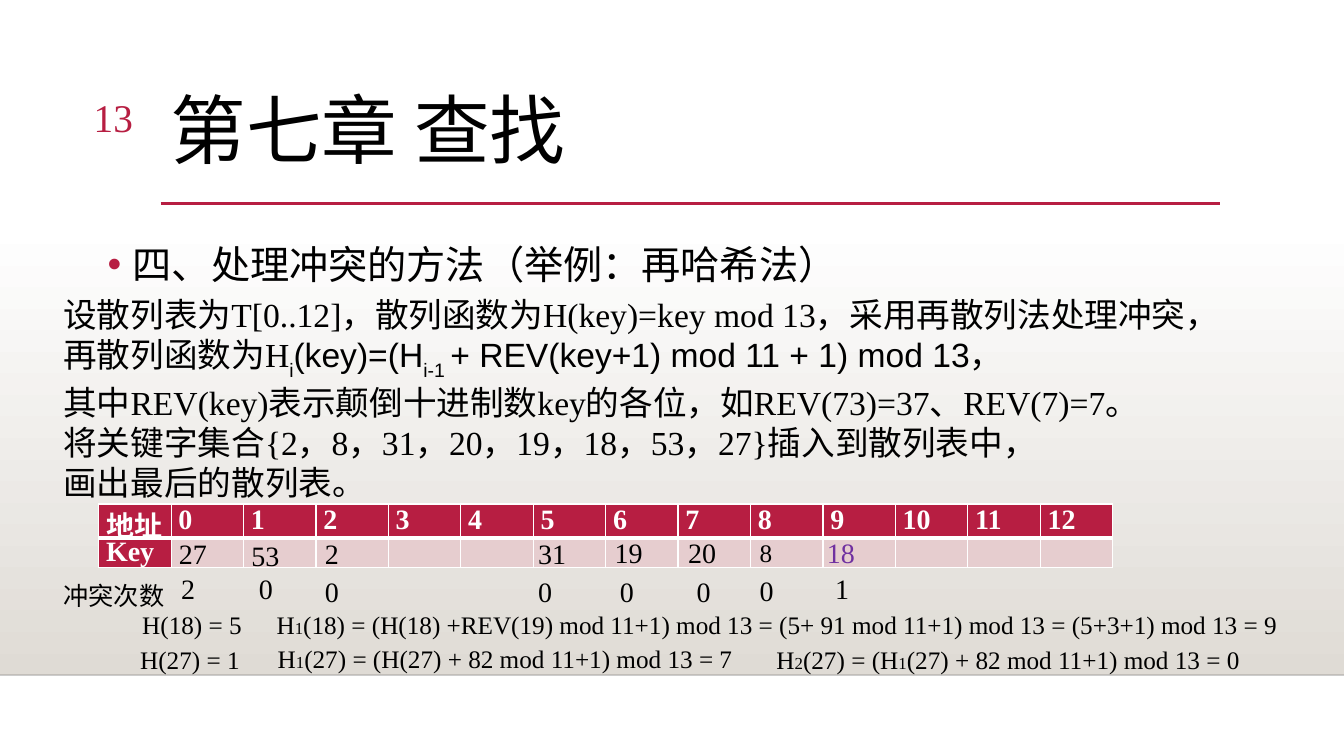
from dataclasses import dataclass
from itertools import groupby

from lxml.etree import SubElement
from pptx import Presentation
from pptx.dml.color import RGBColor
from pptx.enum.shapes import MSO_CONNECTOR, MSO_SHAPE
from pptx.enum.text import MSO_ANCHOR, MSO_AUTO_SIZE, PP_ALIGN
from pptx.oxml import parse_xml
from pptx.oxml.ns import nsdecls, qn
from pptx.util import Emu, Pt


@dataclass(frozen=True)
class Theme:
    white: str = "FFFFFF"
    ink: str = "000000"
    accent: str = "B71E42"
    pale: str = "E6CDCF"
    ground: str = "DFDBD5"
    purple: str = "7030A0"
    serif: str = "Times New Roman"
    sans: str = "Arial"
    chinese: str = "Noto Sans CJK SC"
    title: int = 54
    heading: int = 28
    body: int = 24
    cell: int = 20
    note: int = 18
    index: int = 12


THEME = Theme()


def px(length):
    return Emu(length * 9525)


def rgb(value):
    return RGBColor.from_string(value)


def add_span(para, text, size=THEME.note, font=THEME.serif, color=THEME.ink, bold=False, base=0):
    span = para.add_run()
    span.text = text
    span.font.size = Pt(size)
    span.font.bold = bold
    span.font.color.rgb = rgb(color)
    span.font.name = font
    properties = span.font._element
    SubElement(properties, qn("a:ea"), typeface=THEME.chinese)
    if base:
        properties.set("baseline", str(base * 1000))


def by_script(text):
    for chinese, letters in groupby(text, lambda letter: ord(letter) > 0x2E80):
        yield "".join(letters), {"font": THEME.chinese if chinese else THEME.serif}


class PageBuilder:
    def __init__(self, deck, theme):
        self.theme = theme
        self.page = deck.slides.add_slide(deck.slide_layouts[6])

    def gradient_band(self, left, top, width, height):
        band = self.page.shapes.add_shape(
            MSO_SHAPE.RECTANGLE, px(left), px(top), px(width), px(height))
        band.shadow.inherit = False
        band.line.fill.background()
        band.fill.gradient()
        band.fill.gradient_angle = 270
        for stop, color in zip(band.fill.gradient_stops, (self.theme.white, self.theme.ground)):
            stop.color.rgb = rgb(color)

    def rule(self, left, right, top, color, weight, opacity=100):
        line = self.page.shapes.add_connector(
            MSO_CONNECTOR.STRAIGHT, px(left), px(top), px(right), px(top))
        line.line.color.rgb = rgb(color)
        line.line.width = Pt(weight)
        properties = line._element.spPr
        SubElement(properties, qn("a:effectLst"))
        if opacity < 100:
            tint = next(properties.iter(qn("a:srgbClr")))
            SubElement(tint, qn("a:alpha"), val=str(opacity * 1000))

    def text(self, left, top, width, height, paragraphs, wrap=False, align=None,
             spacing=None, anchor=MSO_ANCHOR.TOP, bullet=False, **style):
        box = self.page.shapes.add_textbox(px(left), px(top), px(width), px(height))
        frame = box.text_frame
        frame.word_wrap = wrap
        frame.auto_size = MSO_AUTO_SIZE.NONE if wrap else MSO_AUTO_SIZE.SHAPE_TO_FIT_TEXT
        frame.vertical_anchor = anchor
        for number, spans in enumerate(paragraphs):
            para = frame.add_paragraph() if number else frame.paragraphs[0]
            para.alignment = align
            para.line_spacing = spacing
            if bullet:
                self.bullet(para)
            for text, changes in spans:
                add_span(para, text, **{**style, **changes})

    def bullet(self, para):
        properties = para._p.get_or_add_pPr()
        properties.set("marL", str(px(24)))
        properties.set("indent", str(px(-24)))
        color = SubElement(properties, qn("a:buClr"))
        SubElement(color, qn("a:srgbClr"), val=self.theme.accent)
        SubElement(properties, qn("a:buFont"), typeface=self.theme.sans)
        SubElement(properties, qn("a:buChar"), char="•")

    def label(self, left, top, width, text, **style):
        self.text(left, top, width, 38, [[(text, {})]], **style)

    def table(self, left, top, column, rows):
        count = len(rows[0][1])
        total = sum(height for height, *_ in rows)
        table = self.page.shapes.add_table(
            len(rows), count, px(left), px(top), px(column * count), px(total)).table
        table.first_row = table.horz_banding = False
        for track in table.columns:
            track.width = px(column)
        for row, (height, values, fills, bottom) in enumerate(rows):
            table.rows[row].height = px(height)
            for number, (value, fill) in enumerate(zip(values, fills)):
                self.cell(table.cell(row, number), value, fill, bottom)

    def cell(self, cell, value, fill, bottom):
        cell.margin_left = cell.margin_right = px(7)
        cell.margin_top = cell.margin_bottom = 0
        cell.fill.solid()
        cell.fill.fore_color.rgb = rgb(fill)
        properties = cell._tc.get_or_add_tcPr()
        for place, (side, weight) in enumerate(zip("LRTB", (1, 1, 1, bottom))):
            properties.insert(place, parse_xml(
                f'<a:ln{side} {nsdecls("a")} w="{Pt(weight)}"><a:solidFill>'
                f'<a:srgbClr val="{self.theme.white}"/></a:solidFill></a:ln{side}>'))
        para = cell.text_frame.paragraphs[0]
        para.alignment = PP_ALIGN.JUSTIFY
        if value:
            add_span(para, value, size=self.theme.cell, color=self.theme.white, bold=True)
        else:
            SubElement(para._p, qn("a:endParaRPr"), sz=str(self.theme.index * 100))


def main():
    deck = Presentation()
    deck.slide_width, deck.slide_height = px(1280), px(720)
    theme = THEME
    build = PageBuilder(deck, theme)

    build.gradient_band(0, 212, 1280, 431)
    build.rule(0, 1280, 643, theme.ink, 1, opacity=20)
    build.rule(153, 1162, 194, theme.accent, 2.5)

    addresses = ["地址", *map(str, range(13))]
    count = len(addresses)
    header_fills = [theme.accent] * count
    build.table(94, 482, 69, [
        (29, [""] * count, header_fills, 3),
        (29, ["Key"] + [""] * (count - 1), [theme.accent] + [theme.pale] * (count - 1), 1),
    ])

    build.text(153, 84, 1008, 110, [[("第七章 查找", {})]], wrap=True, spacing=0.9, size=theme.title)
    build.text(93, 215, 1008, 362, [[("四、处理冲突的方法（举例：再哈希法）", {})]],
               wrap=True, spacing=1.2, bullet=True, size=theme.heading)
    build.text(51, 84, 85, 53, [[("13", {})]], wrap=True, align=PP_ALIGN.RIGHT,
               size=theme.heading, color=theme.accent)

    sans = {"font": theme.sans}
    lowered = {"font": theme.sans, "base": -30}
    problem = [
        by_script("设散列表为T[0..12]，散列函数为H(key)=key mod 13，采用再散列法处理冲突，"),
        [*by_script("再散列函数为H"), ("i", lowered), ("(key)=(H", sans), ("i-1 ", lowered),
         ("+ REV(key+1) mod 11 + 1) mod 13", sans), *by_script("，")],
        by_script("其中REV(key)表示颠倒十进制数key的各位，如REV(73)=37、REV(7)=7。"),
        by_script("将关键字集合{2，8，31，20，19，18，53，27}插入到散列表中，"),
        by_script("画出最后的散列表。"),
    ]
    build.text(51, 277, 1166, 204, problem, anchor=MSO_ANCHOR.MIDDLE, size=theme.body)

    build.table(94, 480, 69, [(32, addresses, header_fills, 3)])

    build.label(51, 548, 116, "冲突次数")
    slots = [
        ("27", 161, 506, "2", 163, 540),
        ("53", 230, 508, "0", 237, 540),
        ("2", 300, 506, "0", 300, 542),
        ("31", 503, 506, "0", 503, 542),
        ("19", 576, 505, "0", 581, 542),
        ("20", 646, 505, "0", 654, 542),
        ("8", 714, 507, "0", 714, 541),
        ("18", 778, 505, "1", 786, 540),
    ]
    for key, key_left, key_top, clashes, clash_left, clash_top in slots:
        build.label(key_left, key_top, 46 if len(key) == 2 else 33, key,
                    size=theme.note if key == "8" else theme.cell,
                    color=theme.purple if key == "18" else theme.ink)
        build.label(clash_left, clash_top, 33, clashes, size=theme.cell)

    build.label(126, 576, 115, "H(18) = 5")
    build.label(124, 609, 115, "H(27) = 1")
    small = {"size": theme.index}
    rehashes = [
        (254, 576, 982, [("H", {}), ("1", small), (
            "(18) = (H(18) +REV(19) mod 11+1) mod 13 = (5+ 91 mod 11+1) mod 13 = (5+3+1) mod 13 = 9", {})]),
        (255, 608, 457, [("H", {}), ("1", small), ("(27) = (H(27) + 82 mod 11+1) mod 13 = 7", {})]),
        (730, 609, 465, [("H", {}), ("2", small), ("(27) = (H", {}), ("1", small),
                         ("(27) + 82 mod 11+1) mod 13 = 0", {})]),
    ]
    for left, top, width, spans in rehashes:
        build.text(left, top, width, 38, [spans])

    deck.save("out.pptx")


if __name__ == "__main__":
    main()
